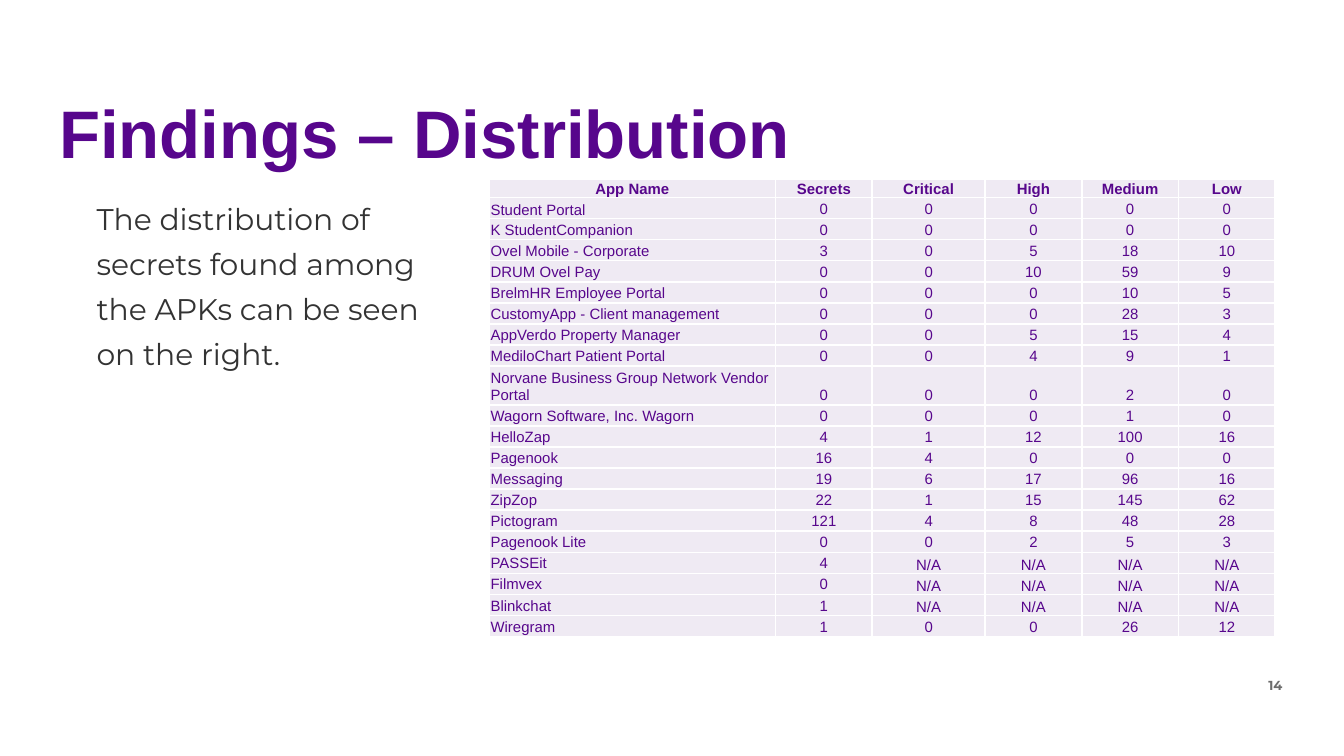
from lxml import etree
from pptx import Presentation
from pptx.dml.color import RGBColor
from pptx.enum.text import MSO_ANCHOR, MSO_AUTO_SIZE, PP_ALIGN
from pptx.oxml.ns import qn
from pptx.util import Inches, Pt

LEFT, MID, RIGHT = PP_ALIGN.LEFT, PP_ALIGN.CENTER, PP_ALIGN.RIGHT
TOP, BOTTOM = MSO_ANCHOR.TOP, MSO_ANCHOR.BOTTOM
NO_FIT = MSO_AUTO_SIZE.NONE

PURPLE = RGBColor(0x57, 0x06, 0x8C)
LILAC = RGBColor(0xEF, 0xEA, 0xF3)
DARK = RGBColor(0x33, 0x33, 0x33)
GRAY = RGBColor(0x6D, 0x6D, 0x6D)
WHITE = RGBColor(0xFF, 0xFF, 0xFF)

HEADS = ["App Name", "Secrets", "Critical", "High", "Medium", "Low"]
APPS = [
    ("Student Portal", 0, 0, 0, 0, 0),
    ("K StudentCompanion", 0, 0, 0, 0, 0),
    ("Ovel Mobile - Corporate", 3, 0, 5, 18, 10),
    ("DRUM Ovel Pay", 0, 0, 10, 59, 9),
    ("BrelmHR Employee Portal", 0, 0, 0, 10, 5),
    ("CustomyApp - Client management", 0, 0, 0, 28, 3),
    ("AppVerdo Property Manager", 0, 0, 5, 15, 4),
    ("MediloChart Patient Portal", 0, 0, 4, 9, 1),
    ("Norvane Business Group Network Vendor Portal", 0, 0, 0, 2, 0),
    ("Wagorn Software, Inc. Wagorn", 0, 0, 0, 1, 0),
    ("HelloZap", 4, 1, 12, 100, 16),
    ("Pagenook", 16, 4, 0, 0, 0),
    ("Messaging", 19, 6, 17, 96, 16),
    ("ZipZop", 22, 1, 15, 145, 62),
    ("Pictogram", 121, 4, 8, 48, 28),
    ("Pagenook Lite", 0, 0, 2, 5, 3),
    ("PASSEit", 4, "N/A", "N/A", "N/A", "N/A"),
    ("Filmvex", 0, "N/A", "N/A", "N/A", "N/A"),
    ("Blinkchat", 1, "N/A", "N/A", "N/A", "N/A"),
    ("Wiregram", 1, 0, 0, 26, 12),
]

# Table sizes in inches; the plain rows share what is left of the height
WIDTHS = [2.13, 0.72, 0.84, 0.72, 0.72, 0.72]
TALL, HEAD_H, LONG_H = 3.41, 0.14, 0.29
LONG_ROW = 9
ROW_H = (TALL - HEAD_H - LONG_H) / (len(APPS) - 1)


def write(frame, text, size=8, font="Arial", color=PURPLE, bold=False,
          align=LEFT, lines=None, after=None):
    """Put one formatted paragraph into a text frame."""
    para = frame.paragraphs[0]
    para.alignment = align
    if lines is not None:
        para.line_spacing = lines
    if after is not None:
        para.space_after = Pt(after)
    run = para.add_run()
    run.text = text
    run.font.size = Pt(size)
    run.font.name = font
    run.font.bold = bold
    run.font.color.rgb = color


def edge(cell, color=WHITE, width=1):
    """Draw a solid line on all four sides of a cell."""
    props = cell._tc.get_or_add_tcPr()
    for side in ("a:lnL", "a:lnR", "a:lnT", "a:lnB"):
        line = etree.SubElement(props, qn(side), w=str(Pt(width)))
        fill = etree.SubElement(line, qn("a:solidFill"))
        etree.SubElement(fill, qn("a:srgbClr"), val=str(color))


class Page:
    """Holds the slide and the house style of its parts."""

    body_font = "Montserrat"
    inset = Inches(0.1)

    def __init__(self, deck):
        self.slide = deck.slides.add_slide(deck.slide_layouts[5])

    def frame(self, shape):
        frame = shape.text_frame
        frame.word_wrap = True
        frame.auto_size = NO_FIT
        frame.vertical_anchor = TOP
        frame.margin_left = frame.margin_right = self.inset
        frame.margin_top = frame.margin_bottom = self.inset
        return frame

    def title(self, text, x, y, w, h):
        shape = self.slide.shapes.title
        shape.left, shape.top = Inches(x), Inches(y)
        shape.width, shape.height = Inches(w), Inches(h)
        write(self.frame(shape), text, size=36, bold=True)

    def text(self, text, x, y, w, h, **style):
        box = self.slide.shapes.add_textbox(
            Inches(x), Inches(y), Inches(w), Inches(h))
        write(self.frame(box), text, font=self.body_font, **style)

    def cell(self, cell, text, head, name, flush):
        cell.vertical_anchor = BOTTOM
        cell.margin_left = cell.margin_right = cell.margin_top = Inches(0.01)
        cell.margin_bottom = Inches(0 if flush else 0.01)
        edge(cell)
        cell.fill.solid()
        cell.fill.fore_color.rgb = LILAC
        write(cell.text_frame, text, bold=head,
              align=LEFT if name and not head else MID)

    def table(self, rows, x, y):
        grid = self.slide.shapes.add_table(
            len(rows), len(WIDTHS), Inches(x), Inches(y),
            Inches(sum(WIDTHS)), Inches(TALL)).table
        grid.horz_banding = False
        for col, width in zip(grid.columns, WIDTHS):
            col.width = Inches(width)
        special = {0: HEAD_H, LONG_ROW: LONG_H}
        for r, row in enumerate(rows):
            grid.rows[r].height = Inches(special.get(r, ROW_H))
            for c, value in enumerate(row):
                flush = r == 0 or value in ("Student Portal", "N/A")
                self.cell(grid.cell(r, c), str(value), r == 0, c == 0, flush)


def main():
    # Widescreen, 16 to 9
    deck = Presentation()
    deck.slide_width = Inches(10)
    deck.slide_height = Inches(10 * 9 / 16)
    page = Page(deck)

    # Title and lead text
    page.title("Findings – Distribution", 0.34, 0.58, 9.21, 0.63)
    page.text("The distribution of secrets found among the APKs can be seen "
              "on the right.", 0.62, 1.33, 2.81, 1.48,
              size=16, color=DARK, lines=1.25, after=10)

    # Secrets per app
    page.table([HEADS] + APPS, 3.64, 1.33)

    # Page number
    page.text("14", 5.05, 4.94, 4.59, 0.34,
              size=7, color=GRAY, bold=True, align=RIGHT)

    deck.save("out.pptx")


if __name__ == "__main__":
    main()
